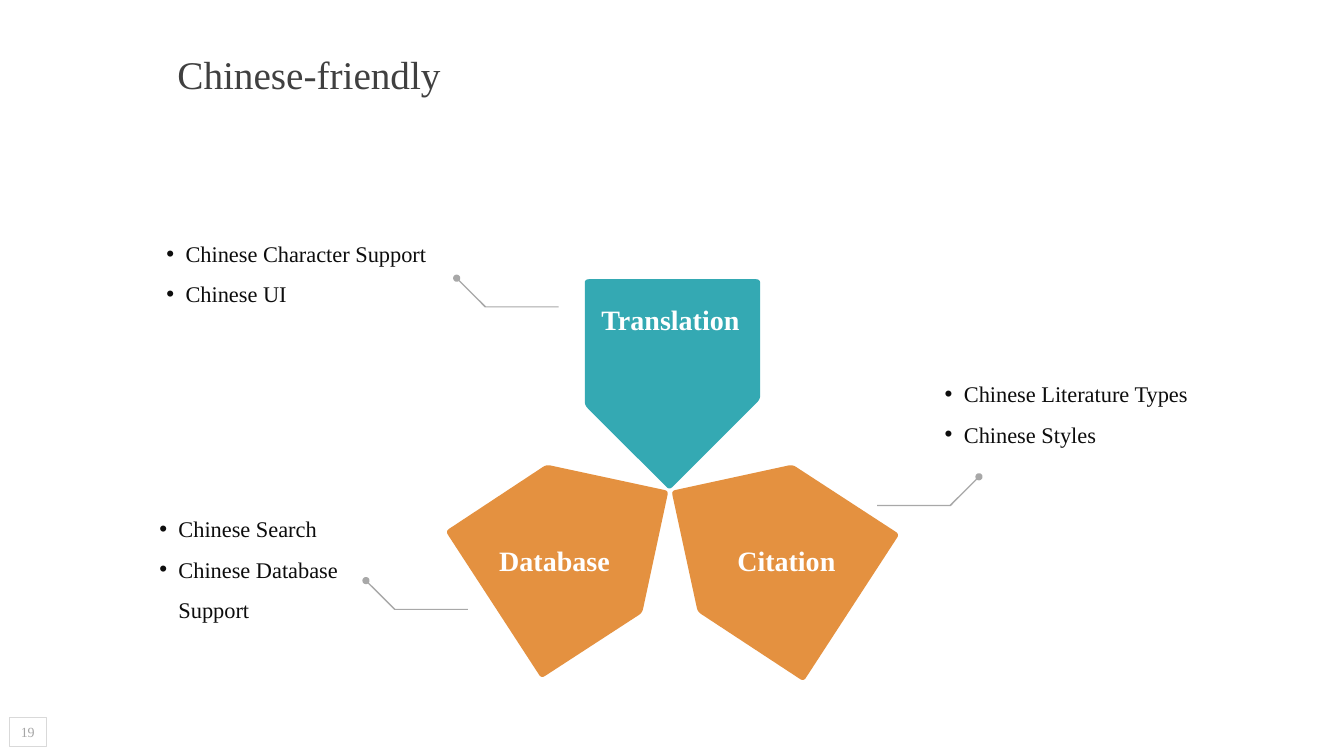
"""Build the Chinese-friendly features slide."""
from dataclasses import dataclass
from math import cos, dist, radians, sin

from lxml.etree import SubElement
from pptx import Presentation
from pptx.dml.color import RGBColor
from pptx.enum.shapes import MSO_SHAPE
from pptx.enum.text import MSO_ANCHOR, MSO_AUTO_SIZE, PP_ALIGN
from pptx.oxml.ns import qn
from pptx.util import Pt

PX = 9144


@dataclass(frozen=True)
class Theme:
    font: str = "Times New Roman"
    teal: str = "34A9B3"
    orange: str = "E49140"
    white: str = "FFFFFF"
    title: str = "404040"
    body: str = "0D0D0D"
    leader: str = "A8A8A8"
    number: str = "A6A6A6"
    border: str = "D9D9D9"
    title_size: int = 28
    label_size: int = 20
    body_size: int = 16
    number_size: int = 10


class SlideBuilder:
    def __init__(self, prs, theme):
        self.theme = theme
        self.s = prs.slides.add_slide(prs.slide_layouts.get_by_name("Comparison"))
        self.bodies = [ph for ph in self.s.placeholders if 1 <= ph.placeholder_format.idx <= 4]

    def place(self, sp, left, top, width, height):
        sp.left, sp.top, sp.width, sp.height = (v * PX for v in (left, top, width, height))

    def frame(self, sp, anchor=MSO_ANCHOR.TOP, wrap=True, inset=None):
        tf = sp.text_frame
        tf.auto_size = MSO_AUTO_SIZE.NONE
        tf.word_wrap = wrap
        tf.vertical_anchor = anchor
        if inset is not None:
            tf.margin_left = tf.margin_right = tf.margin_top = tf.margin_bottom = inset
        return tf

    def run(self, p, text, size, color, bold=False, align=PP_ALIGN.LEFT):
        p.alignment = align
        r = p.add_run()
        r.text = text
        r.font.name = self.theme.font
        r.font.size = Pt(size)
        r.font.bold = bold
        r.font.color.rgb = RGBColor.from_string(color)

    def title(self, text, *box):
        sp = self.s.shapes.title
        self.place(sp, *box)
        tf = self.frame(sp, wrap=False)
        self.run(tf.paragraphs[0], text, self.theme.title_size, self.theme.title)

    def bullets(self, items, *box):
        sp = self.bodies.pop(0)
        self.place(sp, *box)
        tf = self.frame(sp)
        for i, item in enumerate(items):
            p = tf.add_paragraph() if i else tf.paragraphs[0]
            p.line_spacing = 1.5
            p.space_before = Pt(0)
            self.run(p, item, self.theme.body_size, self.theme.body)
            pPr = p._p.get_or_add_pPr()
            pPr.set("marL", str(19 * PX))
            pPr.set("indent", str(-19 * PX))
            SubElement(pPr, qn("a:buFont")).set("typeface", "Arial")
            SubElement(pPr, qn("a:buChar")).set("char", "•")

    def label(self, text, left, top):
        sp = self.s.shapes.add_textbox(left * PX, top * PX, 180 * PX, 34 * PX)
        tf = self.frame(sp, inset=0)
        self.run(tf.paragraphs[0], text, self.theme.label_size, self.theme.white,
                 True, PP_ALIGN.CENTER)

    def outline(self, points, color):
        pts = [(x * PX, y * PX) for x, y in points]
        fb = self.s.shapes.build_freeform(*pts[0], scale=1.0)
        fb.add_line_segments(pts[1:], close=True)
        sp = fb.convert_to_shape()
        sp.shadow.inherit = False
        sp.fill.solid()
        sp.fill.fore_color.rgb = RGBColor.from_string(color)
        sp.line.fill.background()

    def pentagon(self, corners, color, radius=4):
        points = []
        for i, c in enumerate(corners):
            ends = []
            for n in (corners[i - 1], corners[(i + 1) % len(corners)]):
                k = radius / dist(c, n)
                ends.append([a + (b - a) * k for a, b in zip(c, n)])
            for t in (0, 0.25, 0.5, 0.75, 1):
                points.append(tuple((1 - t) ** 2 * a + 2 * t * (1 - t) * b + t * t * d
                                    for a, b, d in zip(ends[0], c, ends[1])))
        self.outline(points, color)

    def leader(self, x, y, side=1):
        dot = [(3.5 * cos(radians(a)), 3.5 * sin(radians(a))) for a in range(55, 396, 10)]
        stem = [(29, 28), (101, 28), (101, 29), (28, 29)]
        self.outline([(x + side * dx, y + dy) for dx, dy in dot + stem], self.theme.leader)

    def page_number(self, text, *box):
        sp = self.s.shapes.add_shape(MSO_SHAPE.RECTANGLE, *(v * PX for v in box))
        sp.shadow.inherit = False
        sp.fill.background()
        sp.line.color.rgb = RGBColor.from_string(self.theme.border)
        sp.line.width = Pt(0.75)
        tf = self.frame(sp, MSO_ANCHOR.MIDDLE, inset=0)
        self.run(tf.paragraphs[0], text, self.theme.number_size, self.theme.number,
                 align=PP_ALIGN.CENTER)

    def remove_unused(self):
        for ph in self.bodies:
            ph.element.getparent().remove(ph.element)


def main():
    prs = Presentation()
    prs.slide_width, prs.slide_height = 1333 * PX, 750 * PX
    theme = Theme()
    b = SlideBuilder(prs, theme)

    b.pentagon([(580, 277), (754, 277), (754, 396), (664, 486), (580, 402)], theme.teal)
    b.pentagon([(666, 487), (786, 461), (892, 530), (797, 676), (692, 607)], theme.orange)
    b.pentagon([(542, 461), (442, 527), (537, 673), (637, 608), (663, 487)], theme.orange)
    b.page_number("19", 9, 712, 37, 29)
    b.label("Translation", 575, 300)
    b.label("Database", 460, 539)
    b.label("Citation", 690, 539)

    b.title("Chinese-friendly", 166, 45, 284, 57)
    b.bullets(["Chinese Character Support", "Chinese UI"], 155, 220, 295, 86)
    b.bullets(["Chinese Search", "Chinese Database Support"], 148, 493, 212, 127)
    b.bullets(["Chinese Literature Types", "Chinese Styles"], 927, 359, 273, 86)
    b.leader(453, 276)
    b.leader(363, 576)
    b.leader(971, 473, side=-1)

    b.remove_unused()
    prs.save("out.pptx")


if __name__ == "__main__":
    main()
